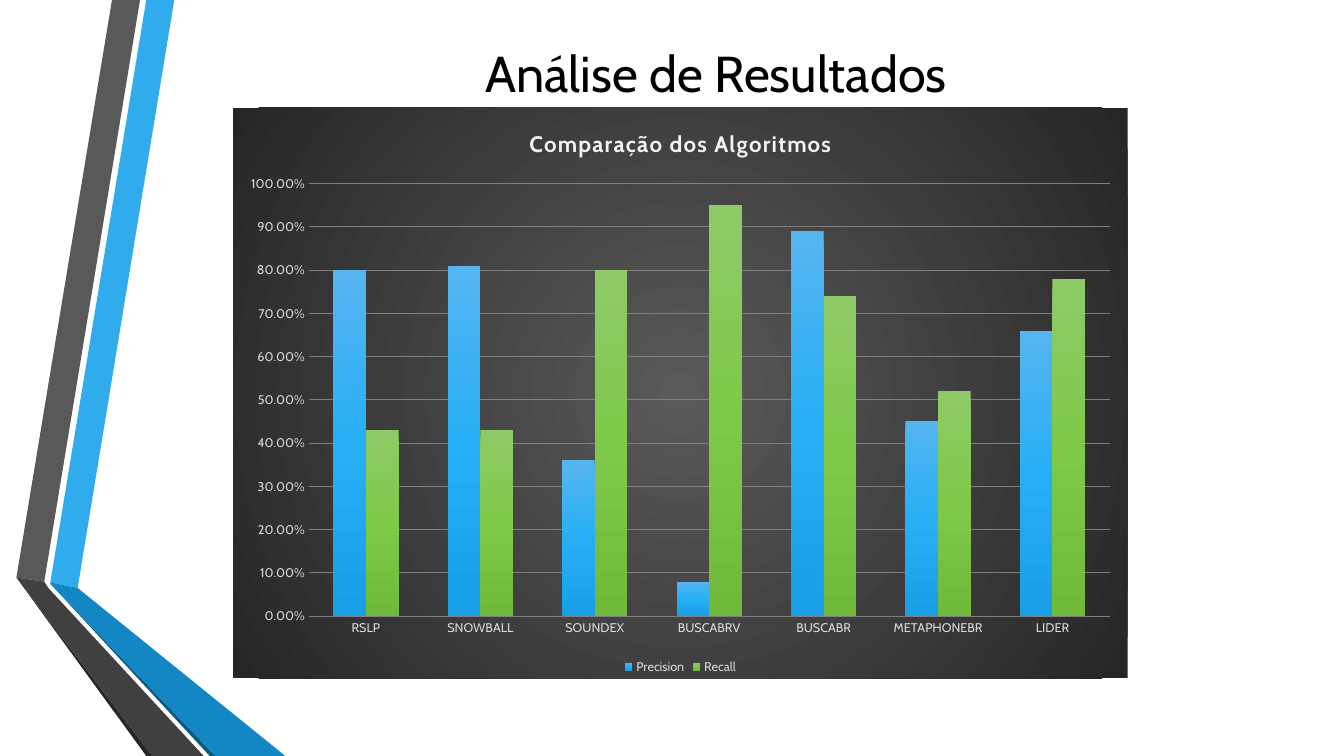
import pptx
import pptx.util
import pptx.chart.data
import pptx.dml.color
import pptx.enum.chart
import pptx.enum.text
import pptx.oxml
from dataclasses import dataclass

Pt = pptx.util.Pt
C = "http://schemas.openxmlformats.org/drawingml/2006/chart"
A = "http://schemas.openxmlformats.org/drawingml/2006/main"


@dataclass(frozen=True)
class Theme:
    """Colours, font and type sizes of the deck."""
    font: str = "Cabin"
    ink: str = "000000"
    pale: str = "D9D9D9"
    light: str = "F2F2F2"
    grid: str = "808080"
    back: tuple = ("595959", "262626")
    blue: tuple = ("56B5F0", "27AFF5", "189FE5")
    green: tuple = ("8ECA68", "7FC949", "70B93B")
    head: int = 36
    sub: int = 16
    small: int = 9


def rgb(code):
    """Turn a hex code into a colour."""
    return pptx.dml.color.RGBColor.from_string(code)


def style(font, size, color, name, bold=False):
    """Set the format of a font."""
    font.size, font.name, font.bold = Pt(size), name, bold
    font.color.rgb = rgb(color)


def write(frame, text, align=pptx.enum.text.PP_ALIGN.CENTER, space=0, **form):
    """Put formatted text in a frame."""
    para = frame.paragraphs[0]
    para.alignment = align
    run = para.add_run()
    run.text = text
    style(run.font, **form)
    if space:
        run.font._element.set("spc", str(space))


def grad(colors, shade):
    """Build an evenly spaced gradient fill."""
    step = 100000 // (len(colors) - 1)
    stops = "".join(f'<a:gs pos="{i * step}"><a:srgbClr val="{c}"/></a:gs>'
                    for i, c in enumerate(colors))
    return f'<a:gradFill xmlns:a="{A}"><a:gsLst>{stops}</a:gsLst>{shade}</a:gradFill>'


def place(node, index, size, **spots):
    """Give a chart part a manual layout, in points within a chart of that size."""
    for old in node.findall(f"{{{C}}}layout"):
        node.remove(old)
    whole = dict(zip("xywh", size * 2))
    inner = '<c:layoutTarget val="inner"/>' if "w" in spots else ""
    modes = "".join(f'<c:{k}Mode val="edge"/>' for k in "xy")
    parts = "".join(f'<c:{k} val="{v / whole[k]}"/>' for k, v in spots.items())
    node.insert(index, pptx.oxml.parse_xml(
        f'<c:layout xmlns:c="{C}"><c:manualLayout>{inner}{modes}{parts}'
        '</c:manualLayout></c:layout>'))


class Deck:
    """Holds the theme and the current slide."""

    def __init__(self, show, theme):
        """Add a blank slide."""
        self.theme = theme
        self.slide = show.slides.add_slide(show.slide_layouts[6])

    def band(self, color, points):
        """Draw a filled polygon."""
        spots = [(Pt(x), Pt(y)) for x, y in points]
        pen = self.slide.shapes.build_freeform(*spots[0])
        pen.add_line_segments(spots[1:], close=True)
        shape = pen.convert_to_shape()
        shape.shadow.inherit = False
        shape.fill.solid()
        shape.fill.fore_color.rgb = rgb(color)
        shape.line.fill.background()

    def title(self, text, *box):
        """Write the slide title."""
        frame = self.slide.shapes.add_textbox(*map(Pt, box)).text_frame
        frame.word_wrap = True
        frame.vertical_anchor = pptx.enum.text.MSO_ANCHOR.MIDDLE
        write(frame, text, size=self.theme.head, color=self.theme.ink,
              name=self.theme.font)

    def axis(self, axis):
        """Style one chart axis."""
        look = self.theme
        axis.major_tick_mark = pptx.enum.chart.XL_TICK_MARK.NONE
        axis.format.line.fill.background()
        style(axis.tick_labels.font, look.small, look.pale, look.font)

    def chart(self, head, names, rows, *box):
        """Draw a clustered column chart; rows are (name, colours, values)."""
        look, size = self.theme, box[2:]
        data = pptx.chart.data.CategoryChartData(number_format="0.00%")
        data.categories = names
        for name, _, vals in rows:
            data.add_series(name, vals)
        kind = pptx.enum.chart.XL_CHART_TYPE.COLUMN_CLUSTERED
        chart = self.slide.shapes.add_chart(kind, *map(Pt, box), data).chart
        style(chart.font, look.small, look.pale, look.font)
        glow = ('<a:path path="circle"><a:fillToRect l="50000" t="50000" '
                'r="50000" b="50000"/></a:path>')
        root = chart._chartSpace
        root.find(f"{{{C}}}chart").addnext(pptx.oxml.parse_xml(
            f'<c:spPr xmlns:c="{C}" xmlns:a="{A}">{grad(look.back, glow)}'
            '<a:ln><a:noFill/></a:ln></c:spPr>'))

        chart.has_title = True
        write(chart.chart_title.text_frame, head, space=100, size=look.sub,
              color=look.light, name=look.font, bold=True)
        place(chart.chart_title._element, 1, size, x=208.8, y=12)
        place(root.find(f".//{{{C}}}plotArea"), 0, size, x=54, y=54.2, w=572.2, h=309)

        plot = chart.plots[0]
        plot.gap_width, plot.overlap, plot.vary_by_categories = 150, 0, False
        for bar, (_, colors, _) in zip(plot.series, rows):
            bar.invert_if_negative = False
            bar._element.get_or_add_spPr().insert(0, pptx.oxml.parse_xml(
                grad(colors, '<a:lin ang="5400000" scaled="0"/>')))

        self.axis(chart.category_axis)
        scale = chart.value_axis
        self.axis(scale)
        scale.minimum_scale, scale.maximum_scale, scale.major_unit = 0, 1, 0.1
        scale.tick_labels.number_format = "0.00%"
        scale.tick_labels.number_format_is_linked = False
        line = scale.major_gridlines.format.line
        line.width, line.color.rgb = Pt(0.75), rgb(look.grid)

        chart.has_legend = True
        chart.legend.position = pptx.enum.chart.XL_LEGEND_POSITION.BOTTOM
        chart.legend.include_in_layout = False
        style(chart.legend.font, look.small, look.pale, look.font)


BANDS = [
    ("30ACEC", [(36, 416), (55.5, 420), (124.5, 0), (104.5, 0)]),
    ("595959", [(100, 0), (80, 0), (11.7, 412.5), (31.6, 415.5)]),
    ("262626", [(11.7, 412.5), (104.5, 540), (108.7, 540)]),
    ("0C5A82", [(36, 417), (149.8, 540), (154, 540)]),
    ("1287C3", [(36, 416), (36, 417), (154, 540), (203.8, 540), (55.5, 420)]),
    ("404040", [(145.5, 540), (34.5, 420), (31.6, 415.5), (11.7, 412.5), (108.7, 540)]),
]
NAMES = ["RSLP", "SNOWBALL", "SOUNDEX", "BUSCABRV", "BUSCABR", "METAPHONEBR", "LIDER"]


def main():
    """Build and save the slide."""
    show = pptx.Presentation()
    show.slide_width, show.slide_height = Pt(960), Pt(540)
    theme = Theme()
    deck = Deck(show, theme)
    for color, points in BANDS:
        deck.band(color, points)
    deck.title("Análise de Resultados", 117, 26.7, 789, 50)
    rows = [
        ("Precision", theme.blue, [0.8, 0.81, 0.36, 0.08, 0.89, 0.45, 0.66]),
        ("Recall", theme.green, [0.43, 0.43, 0.8, 0.95, 0.74, 0.52, 0.78]),
    ]
    deck.chart("Comparação dos Algoritmos", NAMES, rows, 166.5, 77, 639, 407.5)
    show.save("out.pptx")


main()
